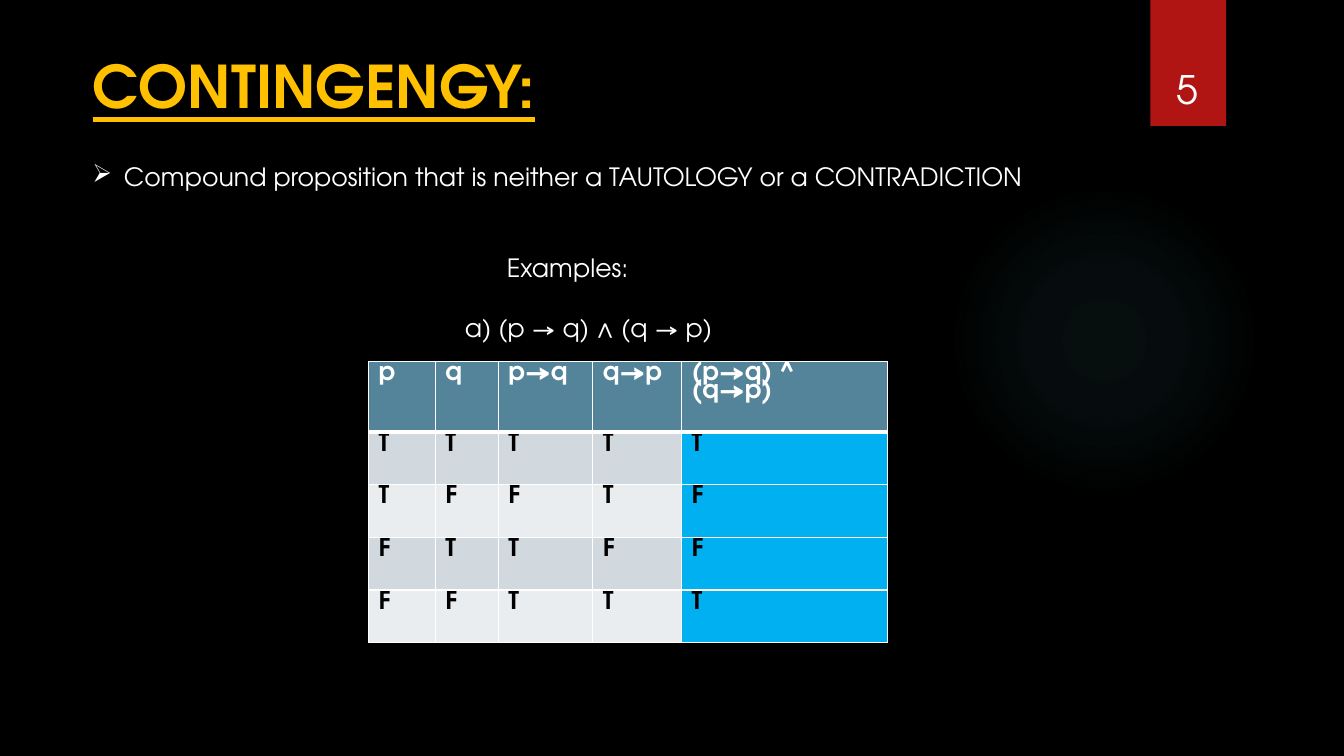
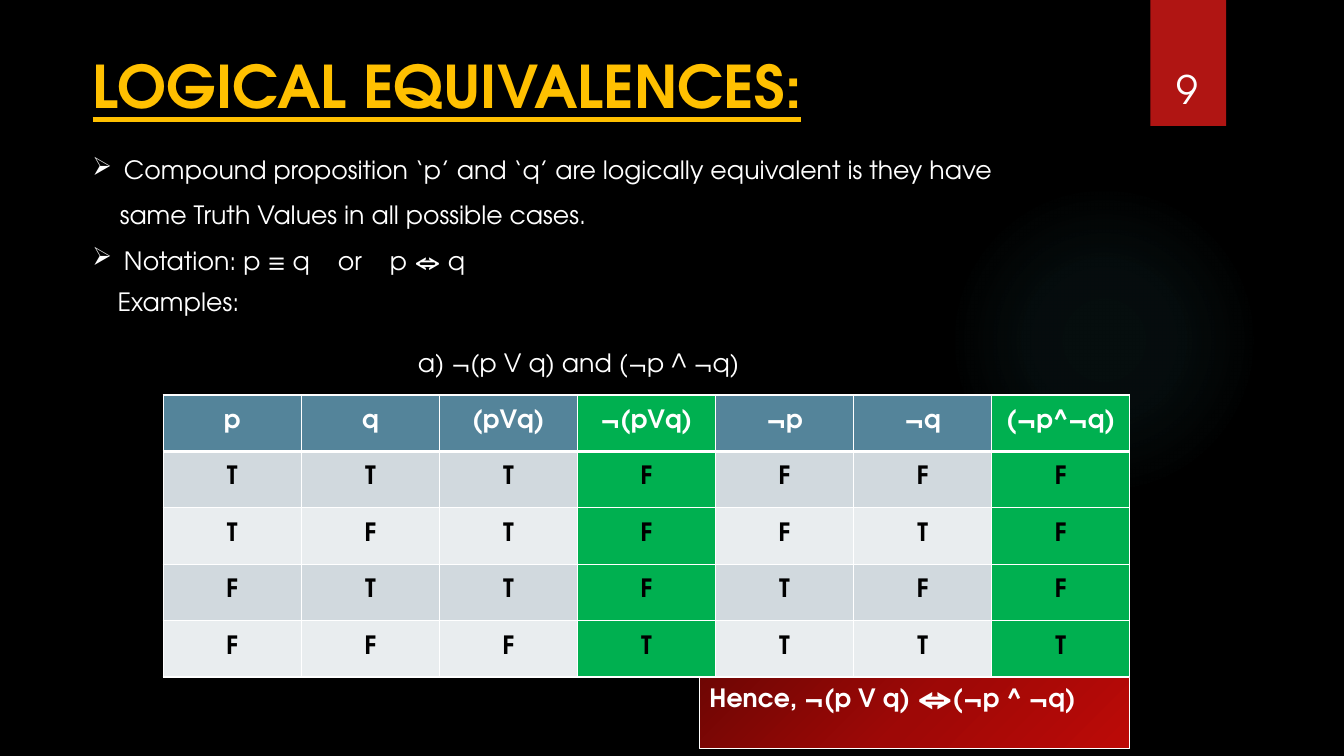
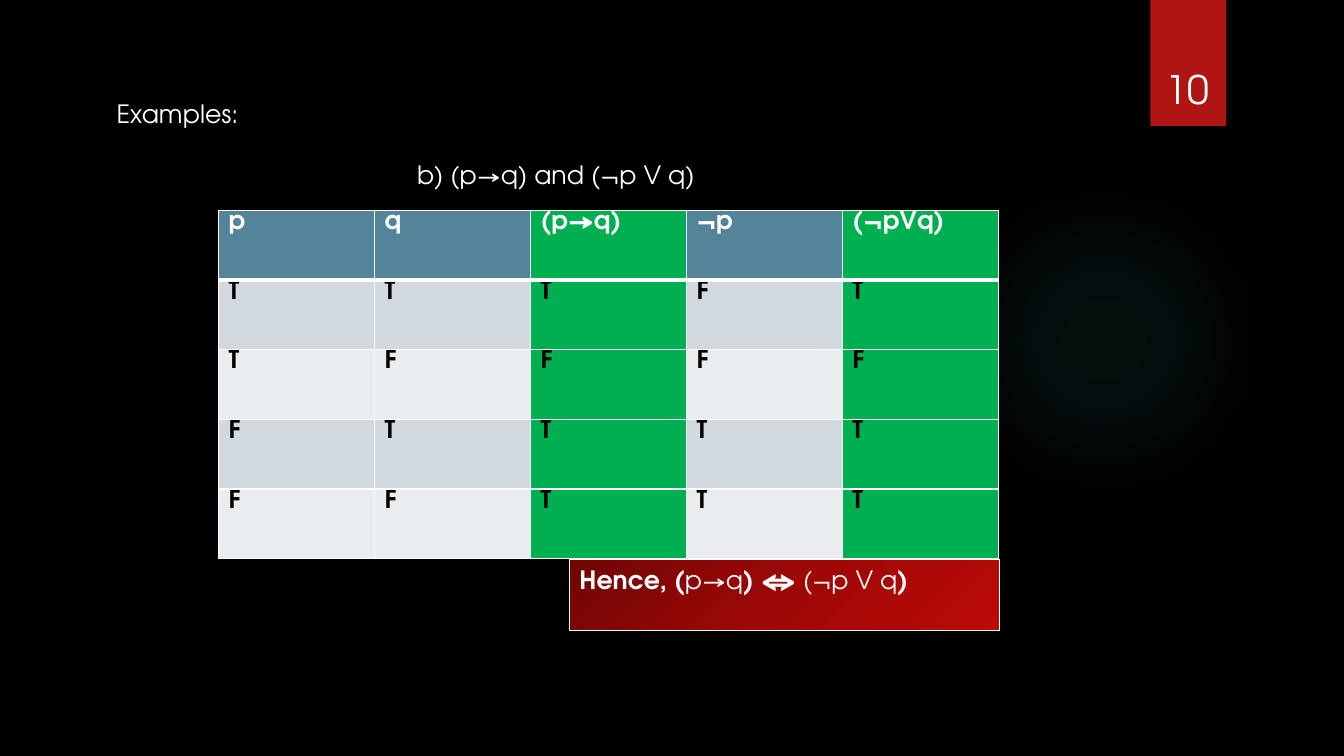
from dataclasses import dataclass

from lxml import etree
from pptx import Presentation
from pptx.dml import color
from pptx.enum import shapes, text
from pptx.oxml import ns
from pptx.util import Pt


@dataclass(frozen=True)
class Theme:
    font: str = "TeX Gyre Adventor"
    background: str = "000000"
    light: str = "FFFFFF"
    dark: str = "000000"
    title: str = "FFC000"
    band: str = "B01513"
    glow: str = "50B9C1"
    header: str = "54849A"
    stripes: tuple = ("D1D9DE", "E9EDEF")
    blue: str = "00B0F0"
    green: str = "00B050"
    conclusion: tuple = ((0, "6F0604", 100), (50, "9E0806", 100), (100, "BC0A07", 100))
    title_size: int = 42
    number_size: int = 28
    body_size: int = 18
    body_line: float = 21.8
    table_spacing: float = 0.75


THEME = Theme()
TITLE_BOX = (59, 31.7, 672, 70.6)
BAND_BOX = (821.8, 0, 54, 90)
NUMBER_BOX = (815, 23, 66.2, 60.5)
GLOW_BOX = (677.5, 131.8, 221.8, 221.8)
CONCLUSION_SIZE = (307.4, 51)


@dataclass
class Line:
    """A paragraph; its phrases are separated by a wide gap."""
    phrases: tuple
    indent: float = 0
    bullet: bool = False
    spacing: float = 1
    before: float = 0


def rgb(value):
    return color.RGBColor.from_string(value)


def child(parent, tag, **attributes):
    values = {name: str(value) for name, value in attributes.items()}
    return etree.SubElement(parent, ns.qn(f"a:{tag}"), values)


def style_run(run, size=THEME.body_size, colour=THEME.light, bold=False, underline=False):
    font = run.font
    font.name, font.size = THEME.font, Pt(size)
    font.bold, font.underline = bold, underline
    font.color.rgb = rgb(colour)


def points(box):
    return [Pt(length) for length in box]


def add_box(slide, box):
    frame = slide.shapes.add_textbox(*points(box)).text_frame
    frame.word_wrap = True
    return frame


def add_label(slide, box, label, anchor, align, **style):
    frame = add_box(slide, box)
    frame.text = label
    frame.vertical_anchor = anchor
    paragraph = frame.paragraphs[0]
    paragraph.alignment = align
    style_run(paragraph.runs[0], **style)


def add_lines(slide, box, lines):
    frame = add_box(slide, box)
    for index, line in enumerate(lines):
        paragraph = frame.add_paragraph() if index else frame.paragraphs[0]
        paragraph.line_spacing = line.spacing
        paragraph.space_before = Pt(line.before)
        properties = paragraph._p.get_or_add_pPr()
        properties.set("marL", str(Pt(line.indent)))
        properties.set("indent", str(-Pt(line.indent) if line.bullet else 0))
        if line.bullet:
            child(properties, "buChar", char="➢")
        for number, phrase in enumerate(line.phrases):
            if number:
                gap = paragraph.add_run()
                gap.text = " "
                style_run(gap)
                gap._r.get_or_add_rPr().set("spc", "1500")
            run = paragraph.add_run()
            run.text = phrase
            style_run(run)


def add_plain_shape(slide, kind, box):
    shape = slide.shapes.add_shape(kind, *points(box))
    shape.shadow.inherit = False
    shape.line.fill.background()
    return shape


def set_gradient(shape, stops, radial=False):
    """Fill with (position, colour, opacity) stops, all in percent."""
    shape.fill.gradient()
    gradient = shape._element.spPr.find(ns.qn("a:gradFill"))
    for element in list(gradient):
        gradient.remove(element)
    stop_list = child(gradient, "gsLst")
    for position, colour, opacity in stops:
        stop = child(stop_list, "gs", pos=position * 1000)
        child(child(stop, "srgbClr", val=colour), "alpha", val=opacity * 1000)
    if radial:
        circle = child(gradient, "path", path="circle")
        child(circle, "fillToRect", l=50000, t=50000, r=50000, b=50000)
    else:
        child(gradient, "lin", ang=45 * 60000, scaled=0)


def add_soft_shadow(shape):
    effects = shape._element.spPr.find(ns.qn("a:effectLst"))
    shadow = child(effects, "outerShdw", blurRad=Pt(3), dist=Pt(2),
                   dir=90 * 60000, rotWithShape=0)
    child(child(shadow, "srgbClr", val="000000"), "alpha", val=45000)


def add_slide(presentation, number, title=None):
    """Add a slide with the shared glow, red band, number and title."""
    slide = presentation.slides.add_slide(presentation.slide_layouts[6])
    fill = slide.background.fill
    fill.solid()
    fill.fore_color.rgb = rgb(THEME.background)
    glow = add_plain_shape(slide, shapes.MSO_SHAPE.OVAL, GLOW_BOX)
    set_gradient(glow, [(0, THEME.glow, 7), (36, THEME.glow, 6), (69, THEME.glow, 0)],
                 radial=True)
    band = add_plain_shape(slide, shapes.MSO_SHAPE.RECTANGLE, BAND_BOX)
    band.fill.solid()
    band.fill.fore_color.rgb = rgb(THEME.band)
    add_soft_shadow(band)
    if title:
        add_label(slide, TITLE_BOX, title, text.MSO_ANCHOR.TOP, text.PP_ALIGN.LEFT,
                  size=THEME.title_size, colour=THEME.title, bold=True, underline=True)
    add_label(slide, NUMBER_BOX, str(number), text.MSO_ANCHOR.BOTTOM,
              text.PP_ALIGN.CENTER, size=THEME.number_size)
    return slide


def set_borders(cell, top, bottom):
    properties = cell._tc.get_or_add_tcPr()
    for side, width in (("L", 1), ("R", 1), ("T", top), ("B", bottom)):
        line = child(properties, f"ln{side}", w=Pt(width))
        child(child(line, "solidFill"), "srgbClr", val=THEME.light)


def add_truth_table(slide, origin, widths, heights, headings, values,
                    highlight, highlight_header=True, centred=False):
    """Build a truth table; highlight maps a column index to its fill."""
    box = (*origin, sum(widths), sum(heights))
    table = slide.shapes.add_table(len(heights), len(widths), *points(box)).table
    table.horz_banding = False
    for column, width in zip(table.columns, widths):
        column.width = Pt(width)
    for row, height in zip(table.rows, heights):
        row.height = Pt(height)
    for row_index, row in enumerate([headings, *values]):
        is_header = row_index == 0
        base = THEME.header if is_header else THEME.stripes[(row_index - 1) % 2]
        for column_index, value in enumerate(row):
            cell = table.cell(row_index, column_index)
            set_borders(cell, 3 if row_index == 1 else 1, 3 if is_header else 1)
            marked = highlight_header or not is_header
            cell.fill.solid()
            cell.fill.fore_color.rgb = rgb(
                highlight.get(column_index, base) if marked else base)
            cell.text_frame.text = value
            paragraph = cell.text_frame.paragraphs[0]
            paragraph.line_spacing = THEME.table_spacing
            if centred:
                cell.vertical_anchor = text.MSO_ANCHOR.MIDDLE
                paragraph.alignment = text.PP_ALIGN.CENTER
            style_run(paragraph.runs[0], bold=True,
                      colour=THEME.light if is_header else THEME.dark)


def add_conclusion(slide, origin, pieces):
    """Add the red box; pieces are (text, bold) pairs."""
    shape = add_plain_shape(slide, shapes.MSO_SHAPE.RECTANGLE, (*origin, *CONCLUSION_SIZE))
    set_gradient(shape, THEME.conclusion)
    shape.line.color.rgb = rgb(THEME.light)
    shape.line.width = Pt(0.75)
    frame = shape.text_frame
    frame.word_wrap = True
    frame.vertical_anchor = text.MSO_ANCHOR.TOP
    paragraph = frame.paragraphs[0]
    paragraph.alignment = text.PP_ALIGN.LEFT
    for piece, bold in pieces:
        run = paragraph.add_run()
        run.text = piece
        style_run(run, bold=bold)


def add_example(slide, box, formula, formula_indent, heading_indent=0):
    add_lines(slide, box, [
        Line(("Examples:",), heading_indent),
        Line((formula,), formula_indent, before=THEME.body_line),
    ])


def build_contingency(presentation):
    slide = add_slide(presentation, 5, "CONTINGENGY:")
    add_lines(slide, (59, 90, 880.6, 51), [
        Line(("Compound proposition that is neither a TAUTOLOGY or a CONTRADICTION",),
             22.5, bullet=True, spacing=2),
    ])
    add_example(slide, (195, 176.4, 479, 72.7), "a) (p → q) ∧ (q → p)", 130, 160)
    add_truth_table(slide, (263.2, 258.2), [47.7, 45, 67.5, 63.5, 147.3],
                    [50.5] + [37.6] * 4,
                    ["p", "q", "p→q", "q→p", "(p→q) ^ (q→p)"],
                    ["TTTTT", "TFFTF", "FTTFF", "FFTTT"],
                    {4: THEME.blue}, highlight_header=False)


def build_equivalences(presentation):
    slide = add_slide(presentation, 9, "LOGICAL EQUIVALENCES:")
    add_lines(slide, (59, 95.8, 880.6, 105), [
        Line(("Compound proposition ‘p’ and ‘q’ are logically equivalent is they have",),
             22.5, bullet=True, spacing=1.5),
        Line(("same Truth Values in all possible cases.",), 19.5, spacing=1.5),
        Line(("Notation: p ≡ q", "or", "p ⇔ q"), 22.5, bullet=True, spacing=1.5),
    ])
    add_example(slide, (77, 200.9, 844.6, 72.7), "a) ¬(p V q) and (¬p ^ ¬q)", 214.5)
    add_truth_table(slide, (116.6, 282.2), [98.64] * 7, [40.3] * 5,
                    ["p", "q", "(pVq)", "¬(pVq)", "¬p", "¬q", "(¬p^¬q)"],
                    ["TTTFFFF", "TFTFFTF", "FTTFTFF", "FFFTTTT"],
                    {3: THEME.green, 6: THEME.green}, centred=True)
    add_conclusion(slide, (499.7, 483.8), [("Hence, ¬(p V q) ⇔(¬p ^ ¬q)", True)])


def build_second_example(presentation):
    slide = add_slide(presentation, 10)
    add_example(slide, (76.3, 67, 844.6, 72.7), "b) (p→q) and (¬p V q)", 214.5)
    add_truth_table(slide, (156.2, 150.5), [111.4] * 5, [49.7] * 5,
                    ["p", "q", "(p→q)", "¬p", "(¬pVq)"],
                    ["TTTFT", "TFFFF", "FTTTT", "FFTTT"],
                    {2: THEME.green, 4: THEME.green})
    add_conclusion(slide, (406.8, 399.4), [
        ("Hence, (", True), ("p→q", False), (") ⇔", True),
        (" (¬p V q", False), (")", True),
    ])


def main():
    presentation = Presentation()
    presentation.slide_width, presentation.slide_height = Pt(960), Pt(540)
    build_contingency(presentation)
    build_equivalences(presentation)
    build_second_example(presentation)
    presentation.save("out.pptx")


if __name__ == "__main__":
    main()
